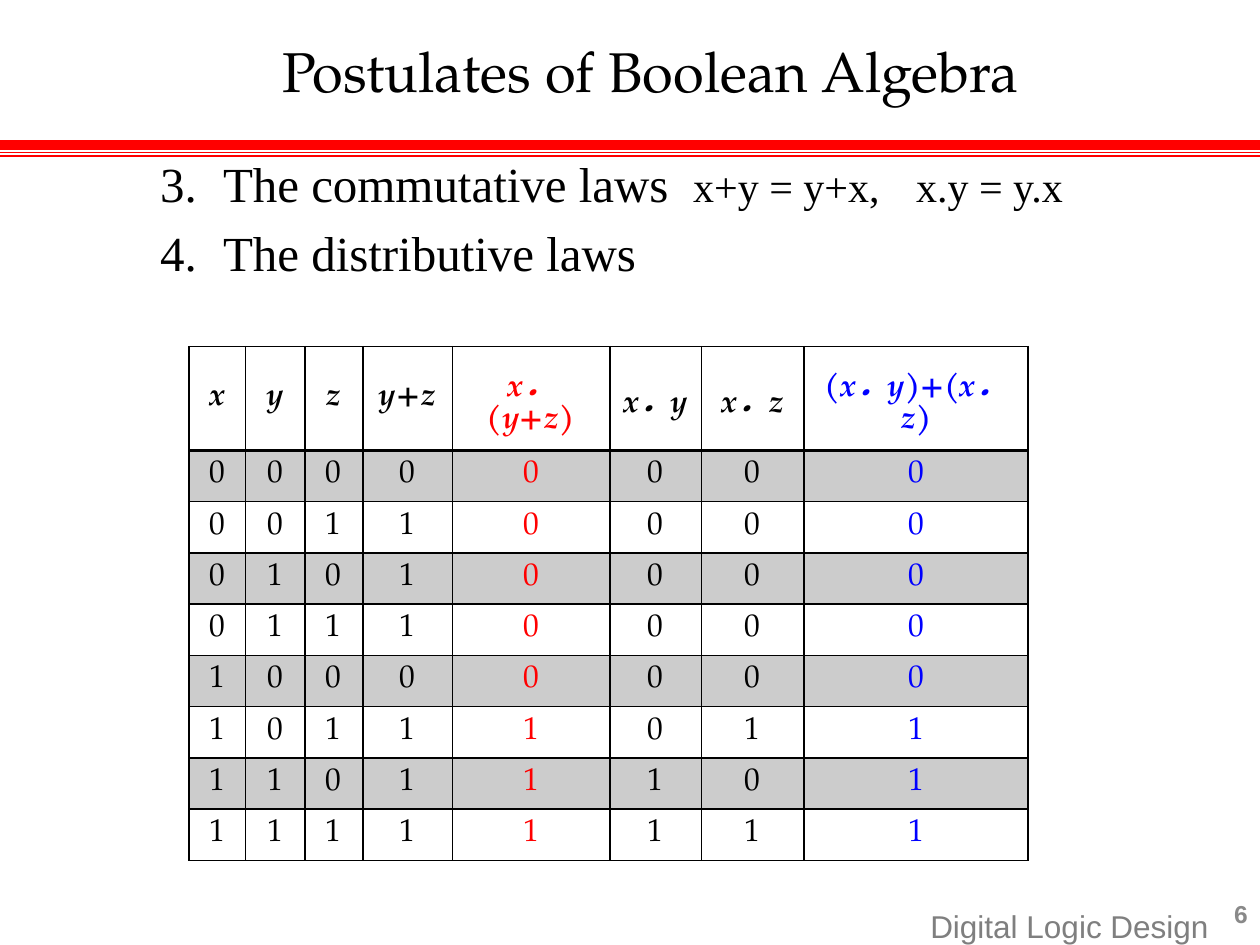
import itertools

import lxml.etree
import pptx
import pptx.dml.color
import pptx.enum.shapes
import pptx.enum.text
import pptx.oxml.ns
import pptx.util

ALIGN = pptx.enum.text.PP_ALIGN
ANCHOR = pptx.enum.text.MSO_ANCHOR
qn = pptx.oxml.ns.qn

THEME = {
    "black": "000000", "red": "FF0000", "blue": "0000FF",
    "footer": "7F7F7F", "number": "898989",
    "serif": "TeX Gyre Pagella", "list": "Times New Roman", "sans": "Arial",
    "title_size": 32, "list_size": 28, "formula_size": 24,
    "text_size": 18, "number_size": 14,
}

prs = pptx.Presentation()
prs.slide_width, prs.slide_height = pptx.util.Inches(10), pptx.util.Inches(7.5)
s = prs.slides.add_slide(prs.slide_layouts[1])


def grid(*counts):
    """Lengths on a grid of 100 columns by 75 rows of square units."""
    return [round(n * prs.slide_width / 100) for n in counts]


def add_run(p, text, size, font, color, bold=False, italic=False):
    r = p.add_run()
    r.text = text
    r.font.size = pptx.util.Pt(THEME[size])
    r.font.name = THEME[font]
    r.font.color.rgb = pptx.dml.color.RGBColor.from_string(THEME[color])
    r.font.bold, r.font.italic = bold, italic


# Triple rule under the title
for y, weight in [(11.5, 6), (12.1, 1), (12.4, 1)]:
    rule = s.shapes.add_connector(pptx.enum.shapes.MSO_CONNECTOR.STRAIGHT,
                                  *grid(0, y, 100, y))
    rule.line.color.rgb = pptx.dml.color.RGBColor.from_string(THEME["red"])
    rule.line.width = pptx.util.Pt(weight)
    lxml.etree.SubElement(rule._element.spPr, qn("a:effectLst"))

# Title
title = s.shapes.title
title.left, title.top, title.width, title.height = grid(3.3, 1.7, 96.7, 7.8)
tf = title.text_frame
tf.auto_size = pptx.enum.text.MSO_AUTO_SIZE.NONE
tf.vertical_anchor = ANCHOR.MIDDLE
tf.margin_left = tf.margin_top = tf.margin_right = tf.margin_bottom = 0
tf.paragraphs[0].alignment = ALIGN.CENTER
add_run(tf.paragraphs[0], "Postulates of Boolean Algebra", "title_size", "serif", "black")

# Numbered laws
body = s.placeholders[1]
body.left, body.top, body.width, body.height = grid(11.7, 11.7, 88.3, 56.7)
tf = body.text_frame
tf.auto_size = pptx.enum.text.MSO_AUTO_SIZE.NONE
laws = [
    [("The commutative laws  ", "list_size"), ("x+y = y+x, \tx.y = y.x", "formula_size")],
    [("The distributive laws", "list_size")],
]
for i, law in enumerate(laws):
    p = tf.add_paragraph() if i else tf.paragraphs[0]
    p.level = 1
    pPr = p._p.get_or_add_pPr()
    indent = grid(5)[0]
    pPr.set("marL", str(indent))
    pPr.set("indent", str(-indent))
    lxml.etree.SubElement(pPr, qn("a:buFont"), typeface="+mj-lt")
    lxml.etree.SubElement(pPr, qn("a:buAutoNum"), type="arabicPeriod", startAt="3")
    for text, size in law:
        add_run(p, text, size, "list", "black")

# Truth table: heading, colour and rule of each column
columns = [
    ("x", 4.5, "black", lambda x, y, z: x),
    ("y", 4.7, "black", lambda x, y, z: y),
    ("z", 4.6, "black", lambda x, y, z: z),
    ("y+z", 7.1, "black", lambda x, y, z: y | z),
    ("x．(y+z)", 12.5, "red", lambda x, y, z: x & (y | z)),
    ("x．y", 7.3, "black", lambda x, y, z: x & y),
    ("x．z", 8.1, "black", lambda x, y, z: x & z),
    ("(x．y)+(x．z)", 17.8, "blue", lambda x, y, z: x & y | x & z),
]
inputs = list(itertools.product((0, 1), repeat=3))
rows = 1 + len(inputs)
table = s.shapes.add_table(rows, len(columns), *grid(15, 27.5, 66.6, 4.07 * rows)).table
table.first_row = table.horz_banding = False
for row in table.rows:
    row.height = grid(4.07)[0]

for c, (heading, width, color, rule) in enumerate(columns):
    table.columns[c].width = grid(width)[0]
    for r in range(rows):
        cell = table.cell(r, c)
        cell.vertical_anchor = ANCHOR.MIDDLE
        p = cell.text_frame.paragraphs[0]
        p.alignment = ALIGN.CENTER
        is_head = r == 0
        text = heading if is_head else str(rule(*inputs[r - 1]))
        add_run(p, text, "text_size", "serif", color, is_head, is_head)

        tcPr = cell._tc.get_or_add_tcPr()
        for side in "LRTB":
            heavy = (r, side) in [(0, "B"), (1, "T")]
            ln = lxml.etree.SubElement(tcPr, qn("a:ln" + side),
                                       w=str(pptx.util.Pt(2 if heavy else 1)))
            fill = lxml.etree.SubElement(ln, qn("a:solidFill"))
            lxml.etree.SubElement(fill, qn("a:srgbClr"), val=THEME["black"])
        if r % 2:
            cell.fill.solid()
            cell.fill.fore_color.rgb = pptx.dml.color.RGBColor.from_string(THEME["black"])
            shade = tcPr.find(qn("a:solidFill")).find(qn("a:srgbClr"))
            lxml.etree.SubElement(shade, qn("a:alpha"), val="20000")
        else:
            cell.fill.background()

# Course name and page number
for text, box, size, color, bold, anchor in [
    ("Digital Logic Design ", (72.5, 71.5, 25.1, 4), "text_size", "footer", False, ANCHOR.TOP),
    ("6", (79.2, 71.7, 20.8, 1.7), "number_size", "number", True, ANCHOR.MIDDLE),
]:
    tf = s.shapes.add_textbox(*grid(*box)).text_frame
    tf.word_wrap = True
    tf.vertical_anchor = anchor
    tf.paragraphs[0].alignment = ALIGN.RIGHT
    add_run(tf.paragraphs[0], text, size, "sans", color, bold)

prs.save("out.pptx")
